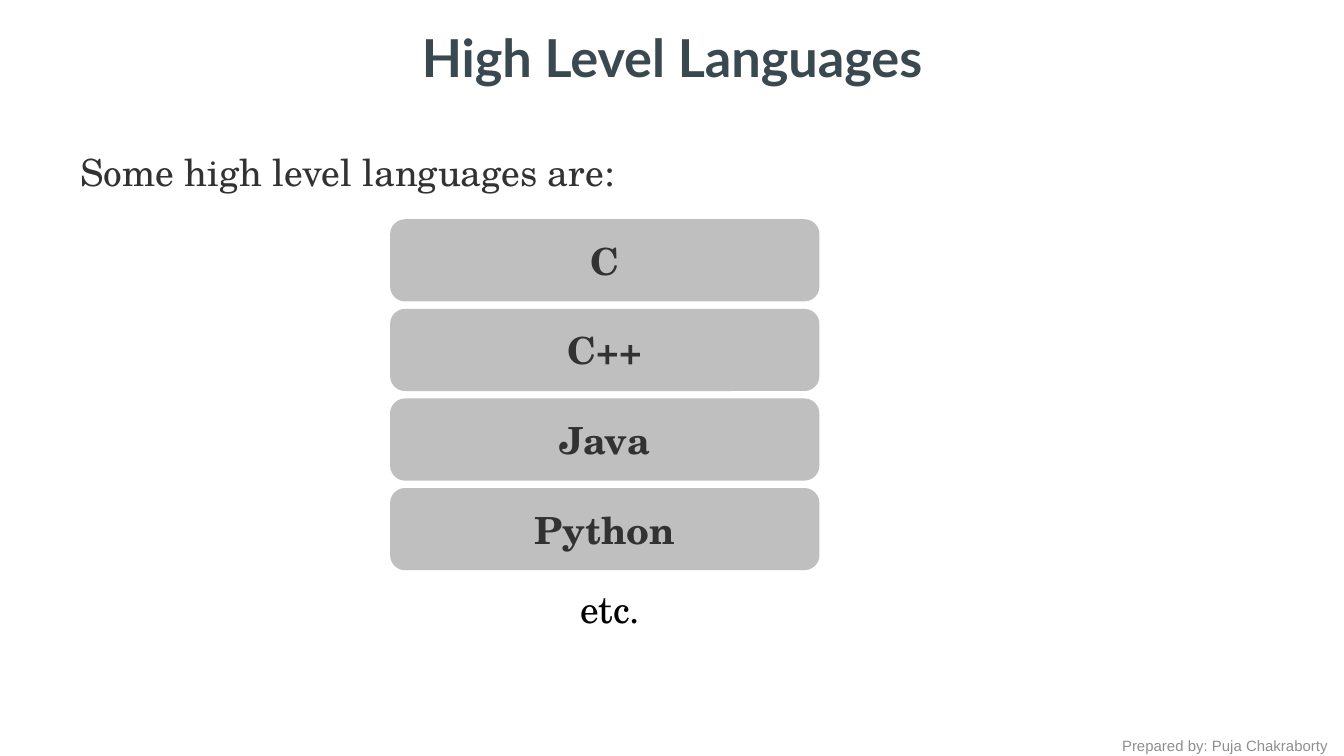
"""Build a slide listing some high level programming languages."""
from pptx import Presentation
from pptx.dml.color import RGBColor
from pptx.enum.shapes import MSO_SHAPE
from pptx.enum.text import MSO_ANCHOR, MSO_AUTO_SIZE, PP_ALIGN
from pptx.util import Pt

SLATE = RGBColor(0x3A, 0x49, 0x50)
CHARCOAL = RGBColor(0x32, 0x32, 0x32)
SILVER = RGBColor(0xBF, 0xBF, 0xBF)
GRAY = RGBColor(0x8E, 0x8E, 0x8E)
BLACK = RGBColor(0, 0, 0)
SERIF = "TeX Gyre Schola"

TITLE = "High Level Languages"
LANGUAGES = ["C", "C++", "Java", "Python"]
LABELS = [
    ("Some high level languages are:", (36, 76.5, 522, 32), SERIF, 20, CHARCOAL, PP_ALIGN.LEFT),
    ("etc.", (282, 310.5, 90, 32), SERIF, 20, BLACK, PP_ALIGN.CENTER),
    ("Prepared by: Puja Chakraborty", (594, 391, 132, 17), "Arial", 8, GRAY, PP_ALIGN.LEFT),
]
BAR_LEFT, BAR_TOP, BAR_WIDTH, BAR_HEIGHT, BAR_STEP = 210, 118.5, 228, 42, 48


def write(shape, text, font, size, color, align, bold=False, anchor=MSO_ANCHOR.TOP):
    tf = shape.text_frame
    tf.text = text
    tf.word_wrap = True
    tf.auto_size = MSO_AUTO_SIZE.NONE
    tf.vertical_anchor = anchor
    p = tf.paragraphs[0]
    p.alignment = align
    r = p.runs[0]
    r.font.name = font
    r.font.size = Pt(size)
    r.font.bold = bold
    r.font.color.rgb = color


def add_bar(s, index, language):
    bar = s.shapes.add_shape(
        MSO_SHAPE.ROUNDED_RECTANGLE,
        Pt(BAR_LEFT), Pt(BAR_TOP + index * BAR_STEP), Pt(BAR_WIDTH), Pt(BAR_HEIGHT),
    )
    bar.shadow.inherit = False
    bar.fill.solid()
    bar.fill.fore_color.rgb = SILVER
    bar.line.color.rgb = SILVER
    bar.line.width = Pt(2)
    write(bar, language, SERIF, 20, CHARCOAL, PP_ALIGN.CENTER, True, MSO_ANCHOR.MIDDLE)


def main():
    prs = Presentation()
    prs.slide_width, prs.slide_height = Pt(720), Pt(405)
    s = prs.slides.add_slide(prs.slide_layouts[5])

    title = s.shapes.title
    title.left, title.top, title.width, title.height = Pt(96), Pt(10), Pt(528), Pt(41)
    write(title, TITLE, "Lato", 28, SLATE, PP_ALIGN.CENTER, True)

    for index, language in enumerate(LANGUAGES):
        add_bar(s, index, language)
    for text, box, font, size, color, align in LABELS:
        label = s.shapes.add_textbox(*map(Pt, box))
        write(label, text, font, size, color, align)

    prs.save("out.pptx")


if __name__ == "__main__":
    main()
